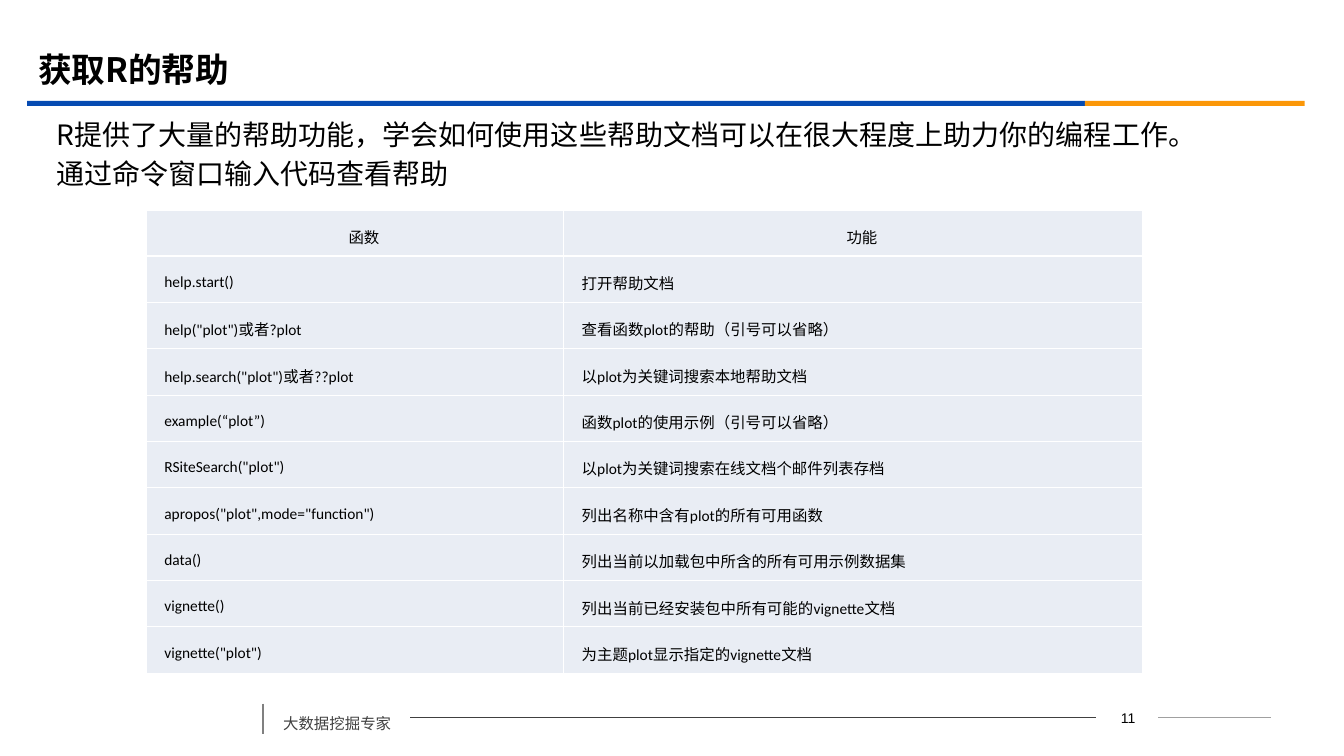
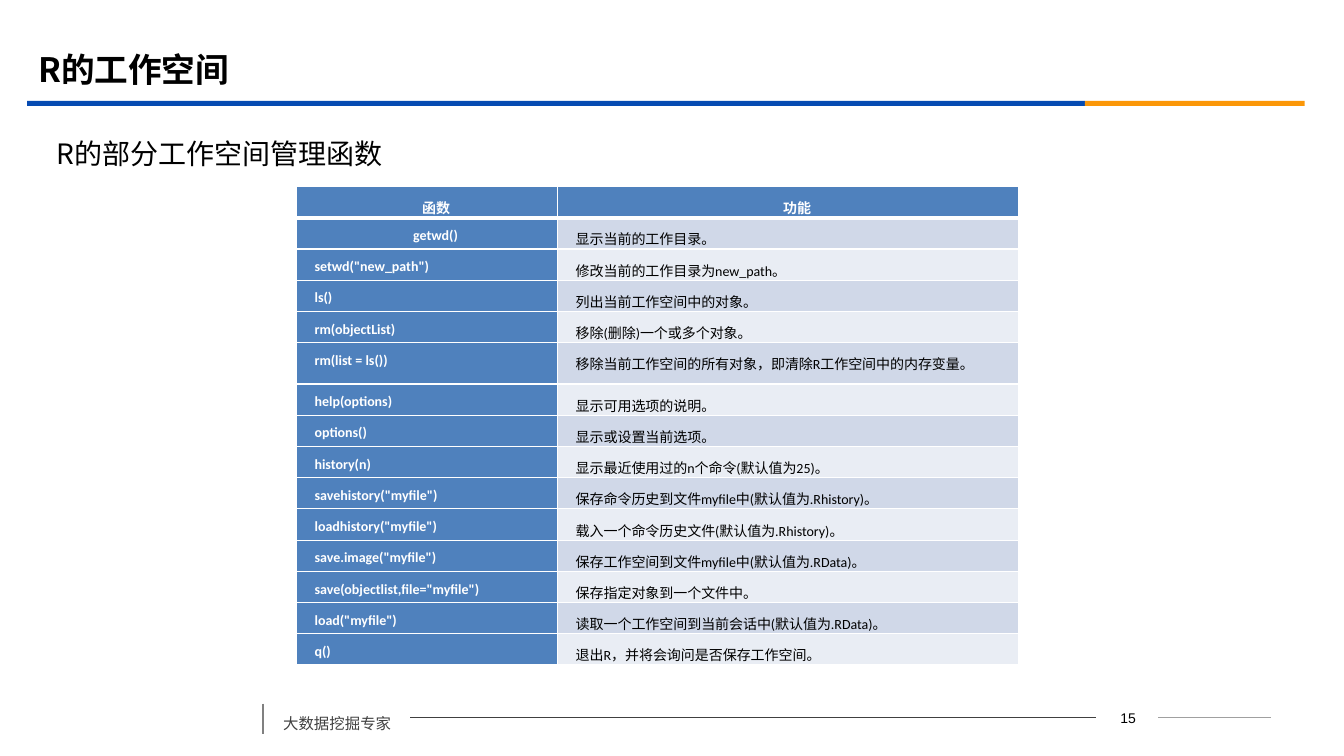
from lxml import etree
from pptx import Presentation
from pptx import util as u
from pptx.dml.color import RGBColor
from pptx.enum import shapes, text
from pptx.oxml.ns import qn

COLORS = {
    "blue": "064BB2", "orange": "FB9708", "black": "000000", "white": "FFFFFF",
    "footer": "404040", "rule": "808080", "rule_light": "A0A0A0",
    "header": "4F81BD", "band_dark": "D0D8E8", "band_light": "E9EDF4",
}
CJK = "Noto Sans CJK SC"
ALIGN = text.PP_ALIGN
MIDDLE, TOP = text.MSO_ANCHOR.MIDDLE, text.MSO_ANCHOR.TOP

TITLE = {"size": u.Pt(24), "name": CJK, "bold": True}
BODY = {"size": u.Pt(20), "name": CJK}
FOOTER = {"size": u.Pt(11), "name": CJK}
PAGE = {"size": u.Pt(10), "name": "Arial"}

HEADINGS = ("函数", "功能")
HELP_ROWS = [
    ("help.start()", "打开帮助文档"),
    ('help("plot")或者?plot', "查看函数plot的帮助（引号可以省略）"),
    ('help.search("plot")或者??plot', "以plot为关键词搜索本地帮助文档"),
    ("example(“plot”)", "函数plot的使用示例（引号可以省略）"),
    ('RSiteSearch("plot")', "以plot为关键词搜索在线文档个邮件列表存档"),
    ('apropos("plot",mode="function")', "列出名称中含有plot的所有可用函数"),
    ("data()", "列出当前以加载包中所含的所有可用示例数据集"),
    ("vignette()", "列出当前已经安装包中所有可能的vignette文档"),
    ('vignette("plot")', "为主题plot显示指定的vignette文档"),
]
WORKSPACE_ROWS = [
    ("getwd()", "显示当前的工作目录。"),
    ('setwd("new_path")', "修改当前的工作目录为new_path。"),
    ("ls()", "列出当前工作空间中的对象。"),
    ("rm(objectList)", "移除(删除)一个或多个对象。"),
    ("rm(list = ls())", "移除当前工作空间的所有对象，即清除R工作空间中的内存变量。"),
    ("help(options)", "显示可用选项的说明。"),
    ("options()", "显示或设置当前选项。"),
    ("history(n)", "显示最近使用过的n个命令(默认值为25)。"),
    ('savehistory("myfile")', "保存命令历史到文件myfile中(默认值为.Rhistory)。"),
    ('loadhistory("myfile")', "载入一个命令历史文件(默认值为.Rhistory)。"),
    ('save.image("myfile")', "保存工作空间到文件myfile中(默认值为.RData)。"),
    ('save(objectlist,file="myfile")', "保存指定对象到一个文件中。"),
    ('load("myfile")', "读取一个工作空间到当前会话中(默认值为.RData)。"),
    ("q()", "退出R，并将会询问是否保存工作空间。"),
]


def rgb(color):
    return RGBColor.from_string(COLORS[color])


def set_all(obj, values):
    for name, value in values.items():
        setattr(obj, name, value)


def add_run(p, content, font, color="black"):
    r = p.add_run()
    r.text = content
    set_all(r.font, font)
    r.font.color.rgb = rgb(color)
    etree.SubElement(r.font._element, qn("a:ea")).set("typeface", CJK)


def add_text(slide, box, lines, font, color="black", anchor=MIDDLE, **para):
    sp = slide.shapes.add_textbox(*map(u.Inches, box))
    tf = sp.text_frame
    set_all(tf, {"word_wrap": True, "vertical_anchor": anchor})
    for i, line in enumerate(lines):
        p = tf.add_paragraph() if i else tf.paragraphs[0]
        set_all(p, para)
        add_run(p, line, font, color)
    return sp


def add_bar(slide, x, width, color):
    sp = slide.shapes.add_shape(shapes.MSO_SHAPE.RECTANGLE,
                                *map(u.Inches, (x, 1, width, 0.05)))
    sp.shadow.inherit = False
    sp.fill.solid()
    sp.fill.fore_color.rgb = rgb(color)
    sp.line.fill.background()


def add_line(slide, ends, color, width=0.75):
    line = slide.shapes.add_connector(shapes.MSO_CONNECTOR.STRAIGHT,
                                      *map(u.Inches, ends))
    line.line.color.rgb = rgb(color)
    line.line.width = u.Pt(width)
    etree.SubElement(line._element.spPr, qn("a:effectLst"))


def set_borders(cell, top, bottom):
    """Draw white cell edges; top and bottom widths are in points."""
    tcPr = cell._tc.get_or_add_tcPr()
    widths = {"lnL": 1, "lnR": 1, "lnT": top, "lnB": bottom}
    for i, (edge, width) in enumerate(widths.items()):
        ln = etree.Element(qn("a:" + edge), w=str(u.Pt(width)))
        fill = etree.SubElement(ln, qn("a:solidFill"))
        etree.SubElement(fill, qn("a:srgbClr")).set("val", COLORS["white"])
        tcPr.insert(i, ln)


def add_table(slide, place, widths, heights, rows, style):
    """style(row, col) gives fill, text colour, bold and alignment."""
    rows = [HEADINGS, *rows]
    size = place["size"]
    frame = slide.shapes.add_table(
        len(rows), len(widths), u.Inches(place["x"]), u.Inches(place["y"]),
        u.Inches(sum(widths)), u.Inches(sum(heights)))
    tbl = frame.table
    set_all(tbl, {"first_row": False, "horz_banding": False})
    for col, width in zip(tbl.columns, widths):
        col.width = u.Inches(width)
    for r, (row, height) in enumerate(zip(rows, heights)):
        tbl.rows[r].height = u.Inches(height)
        for c, content in enumerate(row):
            fill, color, bold, align = style(r, c)
            cell = tbl.cell(r, c)
            set_all(cell, {
                "margin_left": u.Inches(0.01), "margin_right": u.Inches(0.01),
                "margin_top": u.Inches(0.01),
                "margin_bottom": u.Inches(place["bottom"]),
                "vertical_anchor": place["anchor"]})
            cell.fill.solid()
            cell.fill.fore_color.rgb = rgb(fill)
            rule = place["header_rule"]
            set_borders(cell, rule if r == 1 else 1, rule if r == 0 else 1)
            p = cell.text_frame.paragraphs[0]
            set_all(p, {"alignment": align, "line_spacing": 1.5})
            p._p.get_or_add_pPr().set("indent", str(u.Inches(0.17 if r else 0.18)))
            add_run(p, content,
                    {"size": u.Pt(size), "name": "Calibri", "bold": bold}, color)


def help_style(row, col):
    return "band_light", "black", False, ALIGN.JUSTIFY if row else ALIGN.CENTER


def workspace_style(row, col):
    align = ALIGN.CENTER if row == 0 or (row, col) == (1, 0) else ALIGN.LEFT
    if row == 0 or col == 0:
        return "header", "white", True, align
    return "band_dark" if row % 2 else "band_light", "black", False, align


def add_slide(prs, title, body, page):
    """Add a slide with the shared title, bars and footer."""
    slide = prs.slides.add_slide(prs.slide_layouts[6])
    add_bar(slide, 0.27, 10.49, "blue")
    add_bar(slide, 10.76, 2.18, "orange")
    add_line(slide, (2.61, 6.98, 2.61, 7.28), "rule", 1.25)
    add_line(slide, (4.07, 7.12, 10.87, 7.12), "footer")
    add_line(slide, (11.49, 7.12, 12.61, 7.12), "rule_light")
    sp = add_text(slide, (2.71, 6.94, 1.36, 0.38), ["大数据挖掘专家"], FOOTER,
                  "footer", TOP, line_spacing=1.5, space_before=u.Pt(6))
    sp.text_frame.auto_size = text.MSO_AUTO_SIZE.SHAPE_TO_FIT_TEXT
    add_text(slide, (10.88, 6.99, 0.62, 0.25), [page], PAGE, anchor=TOP,
             alignment=ALIGN.CENTER)
    add_text(slide, (0.28, 0.39, 12, 0.58), [title], TITLE)
    add_text(slide, (0.46, 1.26, 12.15, 0.47), body, BODY, line_spacing=u.Pt(28))
    return slide


def main():
    prs = Presentation()
    prs.slide_width, prs.slide_height = u.Inches(13.33), u.Inches(7.5)

    slide = add_slide(prs, "获取R的帮助", [
        "R提供了大量的帮助功能，学会如何使用这些帮助文档可以在很大程度上助力你的编程工作。",
        "通过命令窗口输入代码查看帮助"], "11")
    add_table(slide, {"x": 1.45, "y": 2.09, "size": 11, "bottom": 0.05,
                      "anchor": MIDDLE, "header_rule": 1},
              (4.14, 5.74), [0.45] + [0.46] * 9, HELP_ROWS, help_style)

    slide = add_slide(prs, "R的工作空间", ["R的部分工作空间管理函数"], "15")
    add_table(slide, {"x": 2.94, "y": 1.85, "size": 10, "bottom": 0.01,
                      "anchor": TOP, "header_rule": 3},
              (2.59, 4.57), [0.31] * 5 + [0.41] + [0.31] * 9,
              WORKSPACE_ROWS, workspace_style)

    prs.save("out.pptx")


if __name__ == "__main__":
    main()
